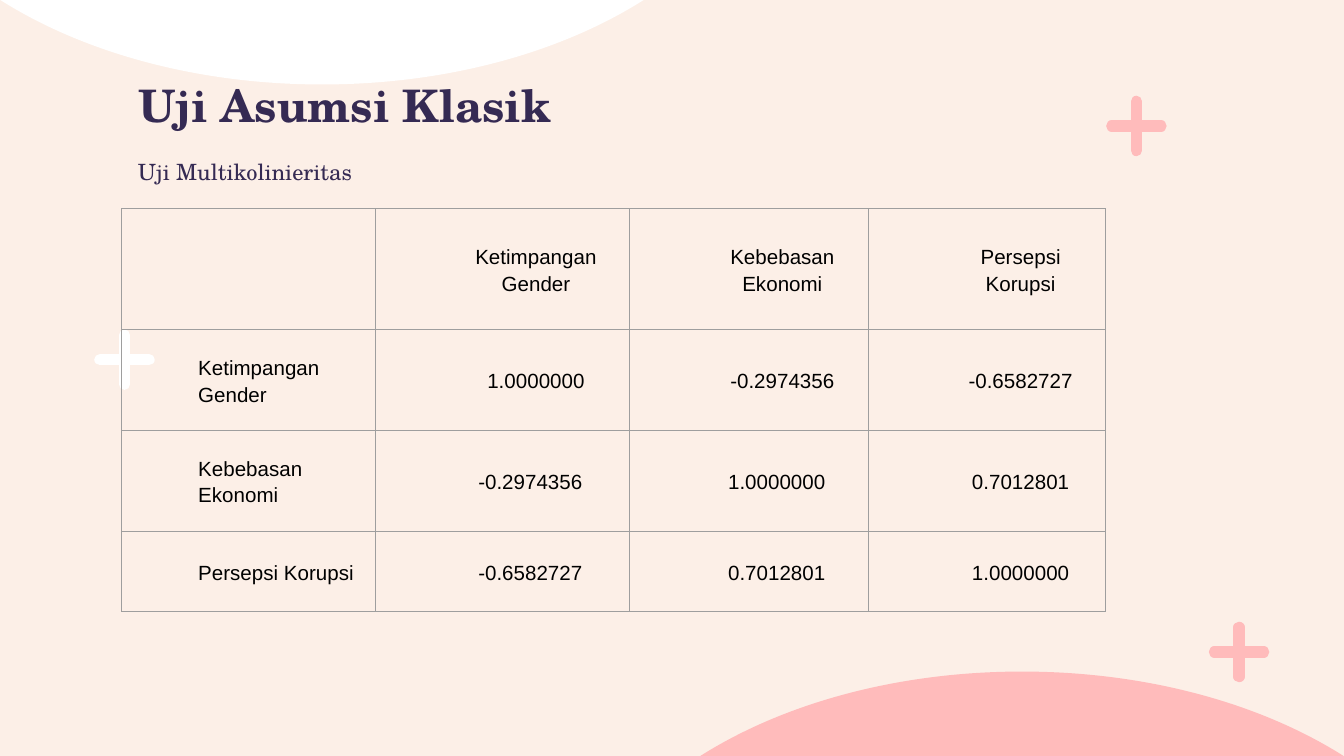
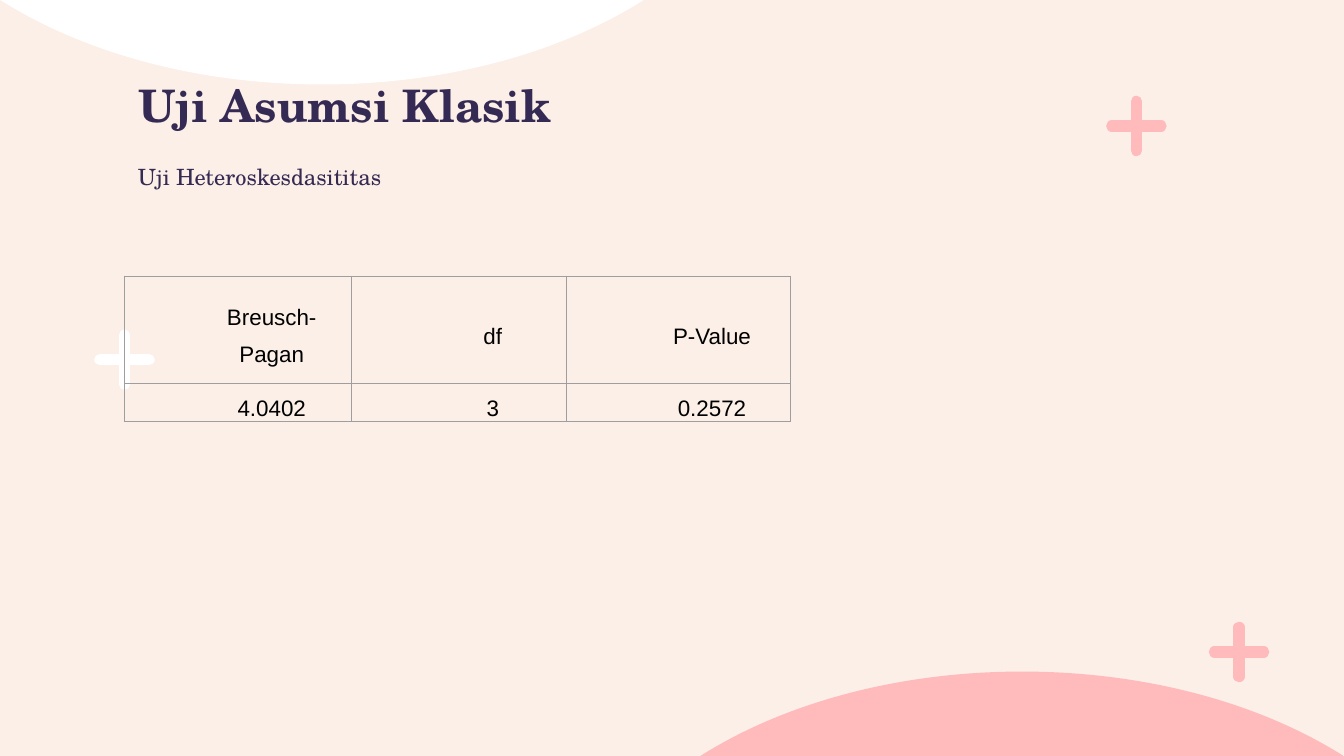
from lxml.etree import SubElement
from pptx import Presentation
from pptx.dml.color import RGBColor
from pptx.enum.shapes import MSO_CONNECTOR as Connector
from pptx.enum.text import MSO_ANCHOR as Anchor, MSO_AUTO_SIZE as AutoSize, PP_ALIGN as Align
from pptx.oxml.ns import qn
from pptx.util import Pt

COLORS = {
    "cream": "FCEFE7",
    "white": "FFFFFF",
    "pink": "FFBBBB",
    "plum": "352A53",
    "grid": "9E9E9E",
    "black": "000000",
}
SERIF, SANS = "TeX Gyre Schola", "Arial"

CORRELATIONS = [
    ["", "Ketimpangan Gender", "Kebebasan Ekonomi", "Persepsi Korupsi"],
    ["Ketimpangan Gender", "1.0000000", "-0.2974356", "-0.6582727"],
    ["Kebebasan Ekonomi", "-0.2974356", "1.0000000", "0.7012801"],
    ["Persepsi Korupsi", "-0.6582727", "0.7012801", "1.0000000"],
]
BREUSCH_PAGAN = [["Breusch-Pagan", "df", "P-Value"], ["4.0402", "3", "0.2572"]]


def color(name):
    return RGBColor.from_string(COLORS[name])


def bend(shape, first):
    segments = list(shape.element.iter(qn("a:lnTo")))[first:first + 3]
    curve = segments[0]
    curve.tag = qn("a:cubicBezTo")
    for segment in segments[1:]:
        curve.append(segment[0])
        segment.getparent().remove(segment)


def add_hill(page, left, top, fill, rotation=0):
    width, height, shoulder = 405, 138, 68.5
    apex = (width / 2, 0)
    slope = [(286.5, 0), (361, 27), (width, shoulder)]
    mirrored = [(width - x, y) for x, y in reversed(slope)]
    outline = slope + [(width, height), (0, height)] + mirrored + [apex]
    builder = page.shapes.build_freeform(Pt(apex[0]), Pt(apex[1]))
    builder.add_line_segments([(Pt(x), Pt(y)) for x, y in outline], close=True)
    hill = builder.convert_to_shape(Pt(left), Pt(top))
    for first in (6, 0):
        bend(hill, first)
    hill.shadow.inherit = False
    hill.fill.solid()
    hill.fill.fore_color.rgb = color(fill)
    hill.line.fill.background()
    hill.rotation = rotation
    return hill


def add_plus(page, x, y, stroke):
    arm = 13.2
    bars = []
    for dx, dy in ((0, arm), (arm, 0)):
        bar = page.shapes.add_connector(
            Connector.STRAIGHT, Pt(x - dx), Pt(y - dy), Pt(x + dx), Pt(y + dy)
        )
        bar.line.width = Pt(6)
        bar.line.color.rgb = color(stroke)
        properties = bar.element.find(qn("p:spPr"))
        properties.find(qn("a:ln")).set("cap", "rnd")
        SubElement(properties, qn("a:effectLst"))
        bars.append(bar)
    return bars


def decorate_layout(layout, page):
    fill = layout.background.fill
    fill.solid()
    fill.fore_color.rgb = color("cream")
    parts = [add_hill(page, -30, -92.8, "white", 180), add_hill(page, 345, 359.8, "pink")]
    for x, y, stroke in ((608.8, 67.5, "pink"), (663.8, 349.3, "pink"), (66.7, 192.7, "white")):
        parts += add_plus(page, x, y, stroke)
    for part in parts:
        layout.shapes.element.append(part.element)


def style_font(span, font, size, fill, bold=False):
    span.font.name = font
    span.font.size = Pt(size)
    span.font.bold = bold
    span.font.color.rgb = color(fill)


def fill_heading(box, area, text, size, bold=False):
    box.left, box.top, box.width, box.height = (Pt(length) for length in area)
    frame = box.text_frame
    frame.text = text
    frame.word_wrap = True
    frame.auto_size = AutoSize.NONE
    frame.vertical_anchor = Anchor.MIDDLE
    frame.margin_left = frame.margin_right = Pt(7.2)
    frame.margin_top = frame.margin_bottom = Pt(7.2)
    para = frame.paragraphs[0]
    para.alignment = Align.LEFT
    style_font(para.runs[0], SERIF, size, "plum", bold)


def add_headings(page, subtitle, subtitle_top):
    fill_heading(page.shapes.title, (66.8, 41.4, 282, 29.5), "Uji Asumsi Klasik", 24, True)
    box = page.shapes.add_textbox(0, 0, 0, 0)
    fill_heading(box, (66.8, subtitle_top, 215, 29.5), subtitle, 12)


def draw_borders(cell):
    properties = cell._tc.get_or_add_tcPr()
    for side in ("a:lnL", "a:lnR", "a:lnT", "a:lnB"):
        line = SubElement(properties, qn(side), w=str(Pt(0.75)))
        fill = SubElement(line, qn("a:solidFill"))
        SubElement(fill, qn("a:srgbClr"), val=COLORS["grid"])


def fill_cell(cell, text, size, spacing, space_after, align, nudge):
    draw_borders(cell)
    cell.fill.background()
    cell.vertical_anchor = Anchor.MIDDLE
    cell.margin_left, cell.margin_right = Pt(5), Pt(5 + nudge)
    cell.margin_top = cell.margin_bottom = 0
    if not text:
        return
    para = cell.text_frame.paragraphs[0]
    para.text = text
    para.alignment = align
    para.line_spacing = spacing
    para.space_after = Pt(space_after)
    properties = para._p.get_or_add_pPr()
    properties.set("marL", str(Pt(36)))
    properties.set("indent", "0")
    style_font(para.runs[0], SANS, size, "black")


def add_grid(page, left, top, widths, heights, rows, style_of):
    frame = page.shapes.add_table(
        len(rows), len(widths), Pt(left), Pt(top), Pt(sum(widths)), Pt(sum(heights))
    )
    table = frame.table
    table.first_row = table.horz_banding = False
    for column, width in zip(table.columns, widths):
        column.width = Pt(width)
    for row, height in zip(table.rows, heights):
        row.height = Pt(height)
    for r, values in enumerate(rows):
        for c, text in enumerate(values):
            fill_cell(table.cell(r, c), text, **style_of(r, c))


def correlation_style(r, c):
    return {
        "size": 11,
        "spacing": 1.15,
        "space_after": 10 if c == 3 else 0,
        "align": Align.CENTER if c else Align.LEFT,
        "nudge": 6 if r >= 2 and c in (1, 2) else 0,
    }


def test_style(r, c):
    return {"size": 12, "spacing": 1.5, "space_after": 6, "align": Align.CENTER, "nudge": 0}


def main():
    deck = Presentation()
    deck.slide_width, deck.slide_height = Pt(720), Pt(405)
    layout = deck.slide_layouts[5]

    page = deck.slides.add_slide(layout)
    decorate_layout(layout, page)
    add_headings(page, "Uji Multikolinieritas", 77)
    add_grid(page, 65.2, 111.8, (136, 136, 128, 127.3), (64.8, 54, 54, 43),
             CORRELATIONS, correlation_style)

    page = deck.slides.add_slide(layout)
    add_headings(page, "Uji Heteroskesdasititas", 80)
    add_grid(page, 66.7, 148, (121.8, 115, 120), (57.6, 18), BREUSCH_PAGAN, test_style)

    deck.save("out.pptx")


if __name__ == "__main__":
    main()
